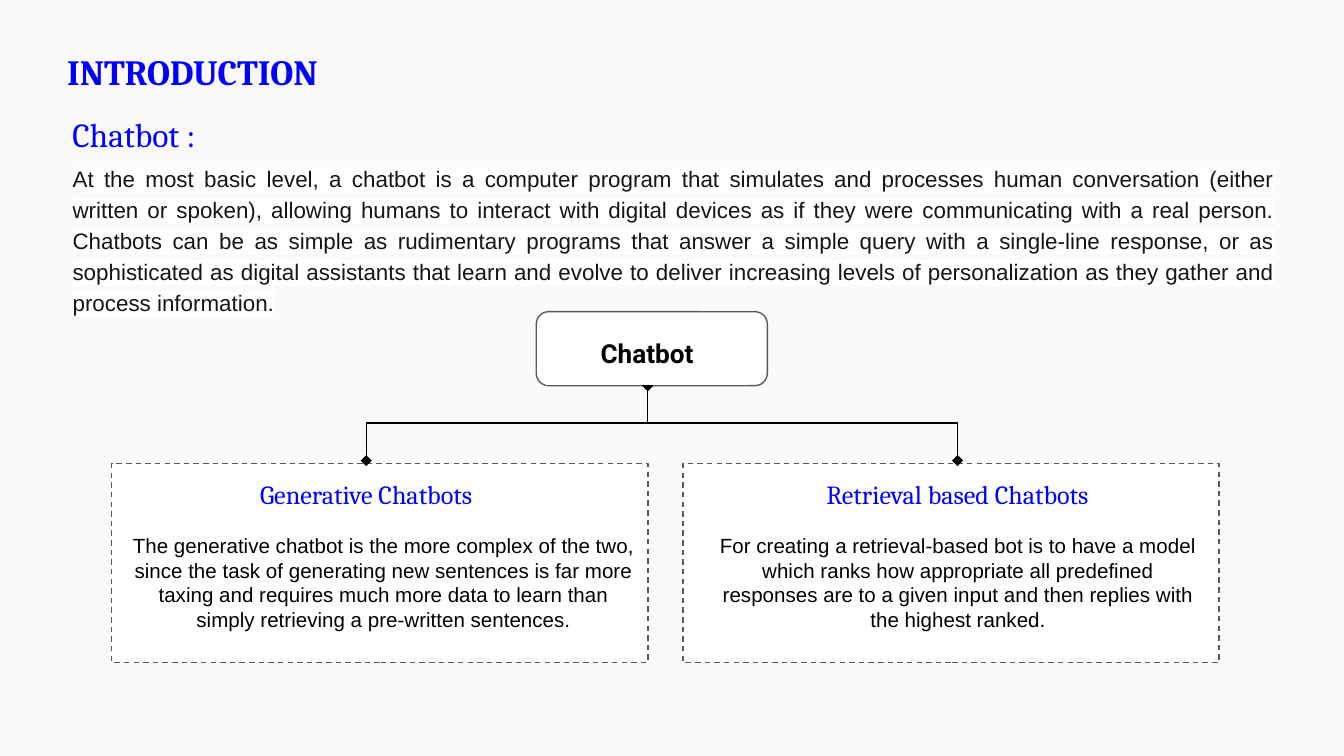
from lxml.etree import SubElement
from pptx import Presentation
from pptx.dml.color import RGBColor
from pptx.enum.dml import MSO_LINE
from pptx.enum.shapes import MSO_CONNECTOR, MSO_SHAPE
from pptx.enum.text import MSO_ANCHOR, MSO_AUTO_SIZE, PP_ALIGN
from pptx.oxml import parse_xml
from pptx.oxml.ns import nsdecls, qn
from pptx.util import Pt

COLORS = {
    "page": "FAFAFA",
    "white": "FFFFFF",
    "border": "595959",
    "black": "000000",
    "body": "161513",
    "blue": "0000FF",
}

DEFINITION = (
    "At the most basic level, a chatbot is a computer program that simulates and "
    "processes human conversation (either written or spoken), allowing humans to "
    "interact with digital devices as if they were communicating with a real person. "
    "Chatbots can be as simple as rudimentary programs that answer a simple query with "
    "a single-line response, or as sophisticated as digital assistants that learn and "
    "evolve to deliver increasing levels of personalization as they gather and process "
    "information."
)
GENERATIVE = (
    "The generative chatbot is the more complex of the two, since the task of "
    "generating new sentences is far more taxing and requires much more data to learn "
    "than simply retrieving a pre-written sentences."
)
RETRIEVAL = (
    "For creating a retrieval-based bot is to have a model which ranks how appropriate "
    "all predefined responses are to a given input and then replies with the highest "
    "ranked."
)

BRANCH_TOP, BRANCH_W, BRANCH_H = 248.4, 287.3, 106.6
ROOT_X, ROOT_BOTTOM = 347, 206.6  # where the branches leave the root box

# box left, heading, heading centre, heading width, text, text left, text width
BRANCHES = [
    (59.8, "Generative Chatbots", 196.2, 156, GENERATIVE, 61.9, 287.3),
    (365.8, "Retrieval based Chatbots", 513, 190, RETRIEVAL, 376.5, 273.6),
]


def rgb(name):
    return RGBColor.from_string(COLORS[name])


def place(sp, left, top, width, height):
    sp.left, sp.top, sp.width, sp.height = map(Pt, (left, top, width, height))


def write(sp, text, font, size, color, align=PP_ALIGN.LEFT, bold=False,
          anchor=MSO_ANCHOR.TOP, spacing=1.0, before=0):
    """Fill a shape with one formatted paragraph and return its run."""
    tf = sp.text_frame
    tf.text = text
    tf.word_wrap = True
    tf.auto_size = MSO_AUTO_SIZE.NONE
    tf.vertical_anchor = anchor
    tf.margin_left = tf.margin_right = tf.margin_top = tf.margin_bottom = Pt(7.2)
    p = tf.paragraphs[0]
    p.alignment, p.line_spacing, p.space_before = align, spacing, Pt(before)
    r = p.runs[0]
    r.font.name, r.font.size, r.font.bold = font, Pt(size), bold
    r.font.color.rgb = rgb(color)
    return r


def add_text(slide, box, text, font, size, color, **style):
    sp = slide.shapes.add_textbox(*map(Pt, box))
    write(sp, text, font, size, color, **style)
    return sp


def add_box(slide, kind, box, dash=None):
    sp = slide.shapes.add_shape(kind, *map(Pt, box))
    sp.shadow.inherit = False
    sp.fill.solid()
    sp.fill.fore_color.rgb = rgb("white")
    sp.line.color.rgb = rgb("border")
    sp.line.width = Pt(0.75)
    if dash:
        sp.line.dash_style = dash


def add_branch_line(slide, x1, y1, x2, y2):
    """Elbow that leaves downwards: a horizontal elbow turned by a quarter."""
    cx, cy = (x1 + x2) / 2, (y1 + y2) / 2
    dx, dy = abs(x2 - x1) / 2, (y2 - y1) / 2
    side = 1 if x2 > x1 else -1
    line = slide.shapes.add_connector(
        MSO_CONNECTOR.ELBOW,
        Pt(cx + side * dy), Pt(cy - dx), Pt(cx - side * dy), Pt(cy + dx))
    line.line.color.rgb = rgb("black")
    line.line.width = Pt(0.75)
    spPr = line._element.spPr
    spPr.find(qn("a:xfrm")).set("rot", str((270 if side > 0 else 90) * 60000))
    ln = spPr.find(qn("a:ln"))
    for end in ("a:headEnd", "a:tailEnd"):
        SubElement(ln, qn(end), type="diamond")
    SubElement(spPr, qn("a:effectLst"))


def add_definition(body):
    place(body, 31.7, 79.2, 658.8, 127.4)
    r = write(body, DEFINITION, "Arial", 12, "body",
              align=PP_ALIGN.JUSTIFY, spacing=1.15, before=12)
    # No bullet, white highlight
    pPr = body.text_frame.paragraphs[0]._p.get_or_add_pPr()
    pPr.set("marL", "0")
    pPr.set("indent", "0")
    SubElement(pPr, qn("a:buNone"))
    highlight = parse_xml(
        f'<a:highlight {nsdecls("a")}><a:srgbClr val="{COLORS["white"]}"/></a:highlight>')
    r._r.rPr.find(qn("a:solidFill")).addnext(highlight)


def main():
    prs = Presentation()
    prs.slide_width, prs.slide_height = Pt(720), Pt(405)
    slide = prs.slides.add_slide(prs.slide_layouts[1])
    slide.background.fill.solid()
    slide.background.fill.fore_color.rgb = rgb("page")

    # Title and definition
    title, body = slide.placeholders
    place(title, 28.8, 19.4, 204.5, 37.4)
    write(title, "INTRODUCTION", "Cambria", 19, "blue", bold=True)
    add_text(slide, (31.7, 50.4, 309.6, 68.4), "Chatbot :", "Cambria", 18, "blue",
             align=PP_ALIGN.JUSTIFY, spacing=1.15, before=12)
    add_definition(body)

    # Boxes and the lines between them
    add_box(slide, MSO_SHAPE.ROUNDED_RECTANGLE, (287.3, 167, 123.8, 39.6))
    for left, _, center, *_ in BRANCHES:
        add_box(slide, MSO_SHAPE.RECTANGLE, (left, BRANCH_TOP, BRANCH_W, BRANCH_H),
                MSO_LINE.DASH)
        add_branch_line(slide, ROOT_X, ROOT_BOTTOM, center, BRANCH_TOP - 1.6)

    # Root label, whose fill covers the upper half of the diamond
    label = add_text(slide, (292.3, 172, 108.7, 34.2), "Chatbot", "Roboto", 14, "black",
                     align=PP_ALIGN.CENTER, bold=True, anchor=MSO_ANCHOR.MIDDLE)
    label.fill.solid()
    label.fill.fore_color.rgb = rgb("white")

    # Branch headings and texts
    for _, heading, center, width, text, text_left, text_width in BRANCHES:
        add_text(slide, (center - width / 2, 247, width, 35.3), heading, "Cambria", 14,
                 "blue", align=PP_ALIGN.CENTER, anchor=MSO_ANCHOR.MIDDLE)
        add_text(slide, (text_left, 278.3, text_width, 67.7), text, "Arial", 11, "black",
                 align=PP_ALIGN.CENTER)

    prs.save("out.pptx")


if __name__ == "__main__":
    main()
